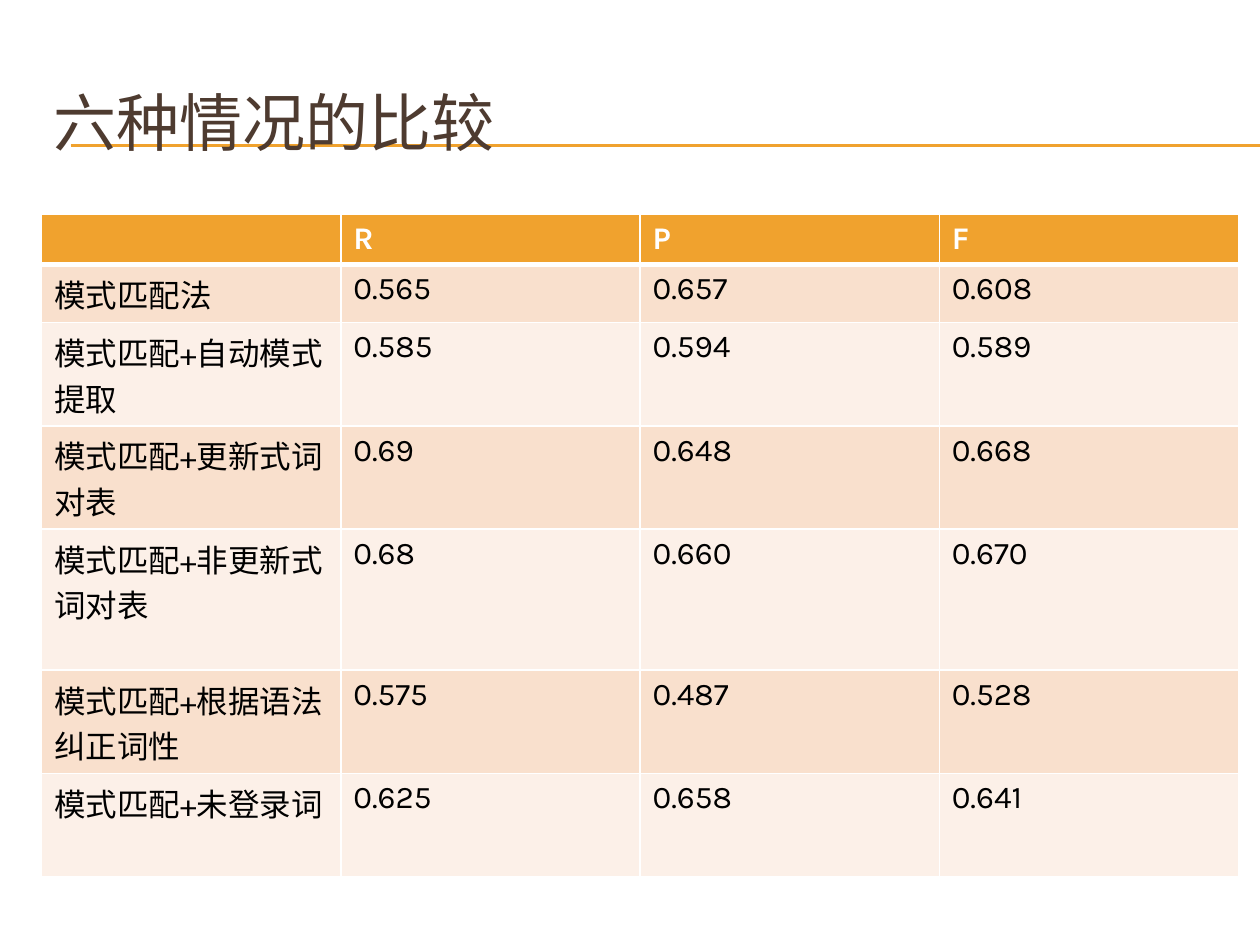
from dataclasses import dataclass

from lxml.etree import SubElement
from pptx import Presentation
from pptx.dml.color import RGBColor as Rgb
from pptx.enum.shapes import MSO_CONNECTOR as Connector
from pptx.enum.text import MSO_ANCHOR as Anchor
from pptx.oxml.ns import qn
from pptx.util import Inches, Pt


@dataclass(frozen=True)
class Theme:
    """Colours, font and type sizes of the slide."""
    font: str = "Karla"
    accent: str = "F0A22E"
    heading: str = "4E3B30"
    body: str = "000000"
    white: str = "FFFFFF"
    bands: tuple = ("F9E0CD", "FCF0E8")
    heading_size: int = 36
    body_size: int = 18
    rule_width: float = 0.75


THEME = Theme()
HEADER = ("", "R", "P", "F")
RESULTS = (
    ("模式匹配法", "0.565", "0.657", "0.608"),
    ("模式匹配+自动模式提取", "0.585", "0.594", "0.589"),
    ("模式匹配+更新式词对表", "0.69", "0.648", "0.668"),
    ("模式匹配+非更新式词对表", "0.68", "0.660", "0.670"),
    ("模式匹配+根据语法纠正词性", "0.575", "0.487", "0.528"),
    ("模式匹配+未登录词", "0.625", "0.658", "0.641"),
)
ROW_HEIGHTS = (0.4, 0.46, 0.82, 0.82, 1.12, 0.82, 0.82)


def write(frame, text, size=THEME.body_size, color=THEME.body, bold=False):
    """Write one formatted run into a text frame."""
    run = frame.paragraphs[0].add_run()
    run.text = text
    font = run.font
    font.name, font.size, font.bold = THEME.font, Pt(size), bold
    font.color.rgb = Rgb.from_string(color)


def add_rule(slide, left, top, right):
    """Draw a thin horizontal accent line."""
    start, level, end = Inches(left), Inches(top), Inches(right)
    rule = slide.shapes.add_connector(Connector.STRAIGHT, start, level, end, level)
    rule.line.color.rgb = Rgb.from_string(THEME.accent)
    rule.line.width = Pt(THEME.rule_width)
    SubElement(rule._element.spPr, qn("a:effectLst"))


def add_heading(slide, left, top, width, height):
    """Place the heading, centred vertically in its box."""
    heading = slide.shapes.add_textbox(*map(Inches, (left, top, width, height)))
    frame = heading.text_frame
    frame.word_wrap = True
    frame.vertical_anchor = Anchor.MIDDLE
    write(frame, "六种情况的比较", size=THEME.heading_size, color=THEME.heading)


def set_borders(cell, **widths):
    """Give a cell white borders of the widths named by side."""
    properties = cell._tc.get_or_add_tcPr()
    for position, side in enumerate(("L", "R", "T", "B")):
        border = properties.makeelement(qn(f"a:ln{side}"), {"w": str(Pt(widths.get(side, 1)))})
        fill = SubElement(border, qn("a:solidFill"))
        SubElement(fill, qn("a:srgbClr"), val=THEME.white)
        properties.insert(position, border)


def add_results(slide, left, top, width):
    """Place the comparison table with equal columns and banded rows."""
    box = map(Inches, (left, top, width, sum(ROW_HEIGHTS)))
    table = slide.shapes.add_table(len(RESULTS) + 1, len(HEADER), *box).table
    for column in table.columns:
        column.width = Inches(width / len(HEADER))
    for index, values in enumerate((HEADER, *RESULTS)):
        is_header = index == 0
        table.rows[index].height = Inches(ROW_HEIGHTS[index])
        background = THEME.accent if is_header else THEME.bands[(index - 1) % 2]
        for cell, value in zip(table.rows[index].cells, values):
            cell.fill.solid()
            cell.fill.fore_color.rgb = Rgb.from_string(background)
            set_borders(cell, B=3 if is_header else 1, T=3 if index == 1 else 1)
            write(cell.text_frame, value, bold=is_header,
                  color=THEME.white if is_header else THEME.body)


def main():
    """Build and save the slide."""
    deck = Presentation()
    deck.slide_width, deck.slide_height = Inches(10), Inches(7.5)
    slide = deck.slides.add_slide(deck.slide_layouts[6])
    for level in (1.15, 1.16):
        add_rule(slide, 0.56, level, 10)
    add_heading(slide, 0.33, 0.5, 9.5, 0.92)
    add_results(slide, 0.33, 1.7, 9.5)
    deck.save("out.pptx")


if __name__ == "__main__":
    main()
